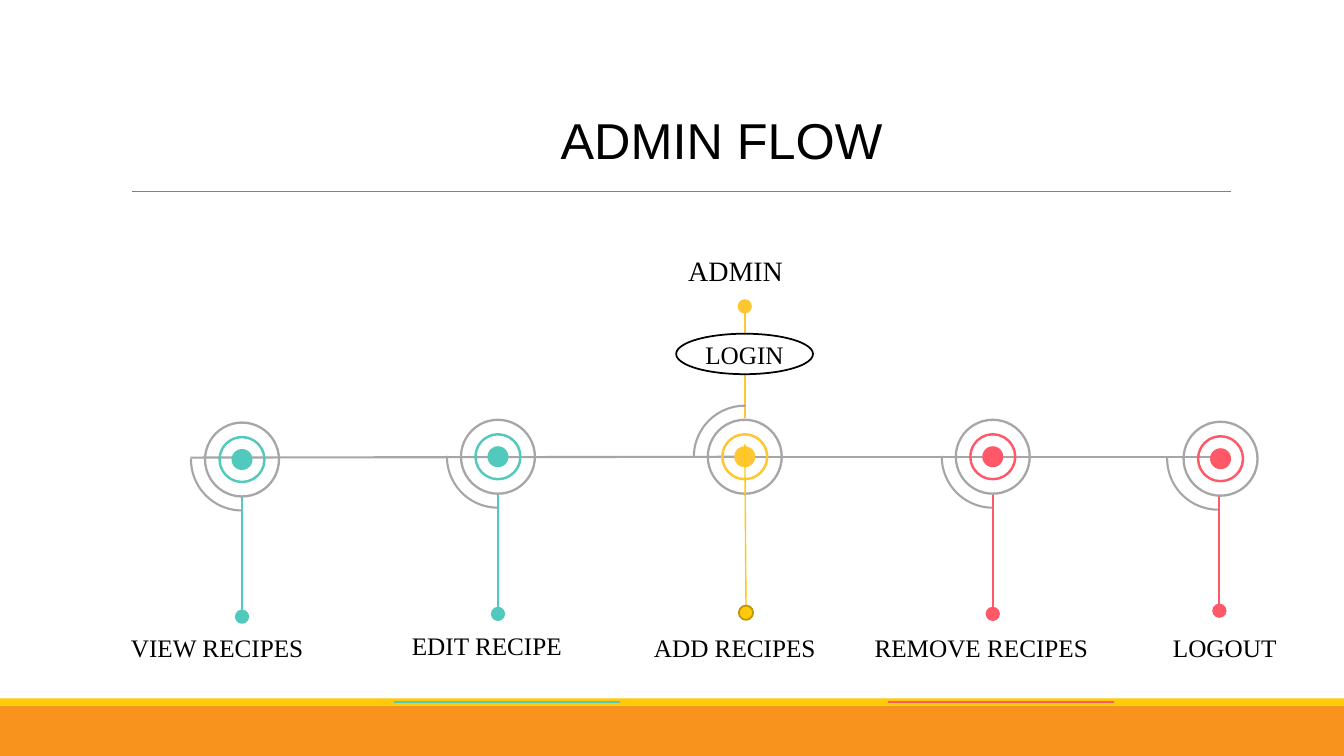
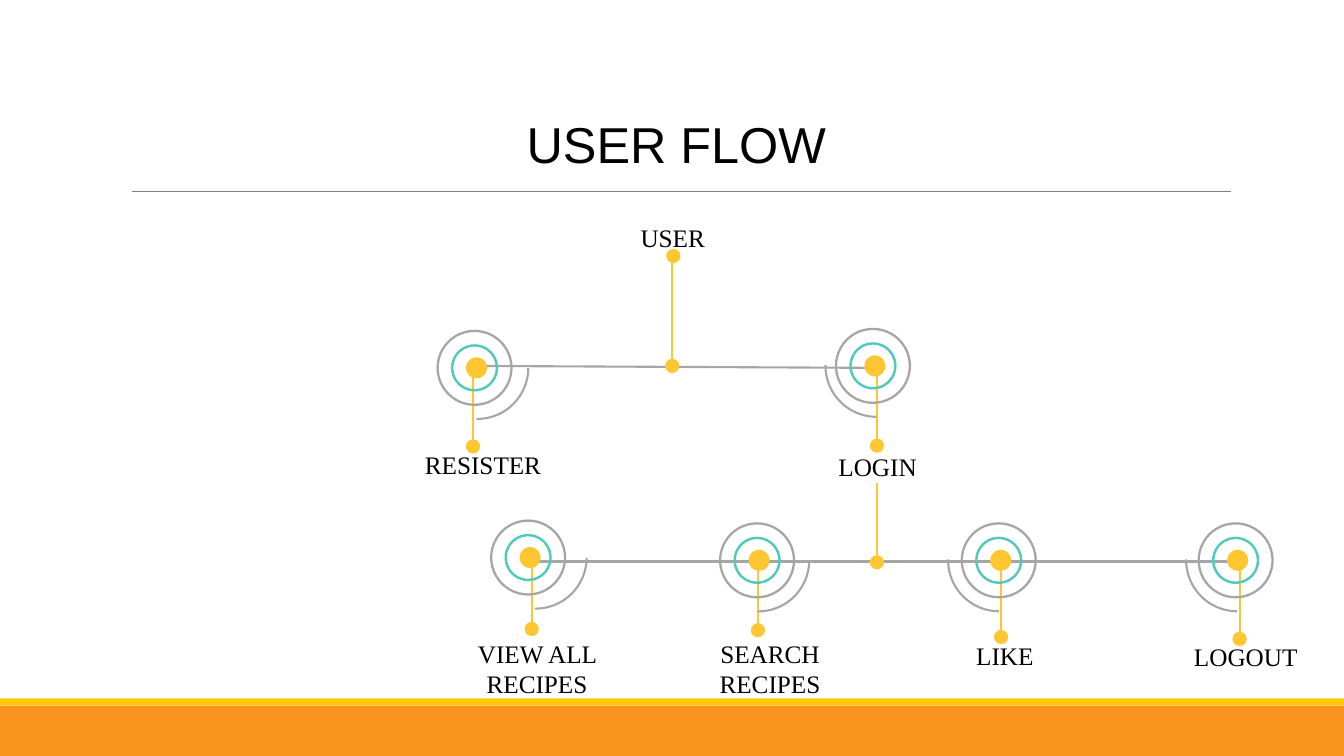
import dataclasses

import pptx
import pptx.dml.color
import pptx.enum.shapes
import pptx.enum.text
import pptx.oxml.ns
import pptx.util
from lxml import etree

Cm = pptx.util.Cm
SHAPE = pptx.enum.shapes.MSO_SHAPE
ALIGN = pptx.enum.text.PP_ALIGN
ANCHOR = pptx.enum.text.MSO_ANCHOR
FIT = pptx.enum.text.MSO_AUTO_SIZE


@dataclasses.dataclass(frozen=True)
class Theme:
    ink: str = "000000"
    paper: str = "FFFFFF"
    rule: str = "808080"
    grey: str = "A6A6A6"
    teal: str = "52C9BD"
    amber: str = "FEC630"
    red: str = "FF5969"
    orange: str = "F8931D"
    gold: str = "FFCA08"
    dark_gold: str = "BD9506"
    title_font: str = "Arial"
    label_font: str = "Times New Roman"
    title_size: int = 36
    heading_size: int = 20
    label_size: int = 18


@dataclasses.dataclass(frozen=True)
class Stop:
    """One step of a flow, lengths in centimetres."""
    label: str
    x: float
    y: float
    arc_x: float
    stem_x: float
    end_y: float
    label_at: tuple  # left, top, width
    turn: int = 0
    align: ALIGN = ALIGN.LEFT


def rgb(colour):
    return pptx.dml.color.RGBColor.from_string(colour)


def write_text(frame, text, *, size, font, colour, align=ALIGN.LEFT):
    paragraph = frame.paragraphs[0]
    paragraph.alignment = align
    run = paragraph.add_run()
    run.text = text
    run.font.size = pptx.util.Pt(size)
    run.font.name = font
    run.font.color.rgb = rgb(colour)


class FlowDeck:
    OUTER, RING, CORE, ARC, DOT = 1.92, 1.19, 0.53, 2.57, 0.36

    def __init__(self, theme):
        self.theme = theme
        self.prs = pptx.Presentation()
        self.prs.slide_width, self.prs.slide_height = Cm(33.87), Cm(19.05)
        self.layout = self.prs.slide_layouts[5]
        self.slide = None

    # Slide frame
    def new_slide(self, title, left, top):
        first = self.slide is None
        self.slide = self.prs.slides.add_slide(self.layout)
        if first:
            self.dress_layout()
        heading = self.slide.shapes.title
        heading.left, heading.top = Cm(left), Cm(top)
        heading.width, heading.height = Cm(17.63), Cm(1.8)
        heading.text_frame.vertical_anchor = ANCHOR.TOP
        heading.text_frame.auto_size = FIT.NONE
        write_text(heading.text_frame, title, size=self.theme.title_size,
                   font=self.theme.title_font, colour=self.theme.ink,
                   align=ALIGN.CENTER)

    def dress_layout(self):
        """Draw the shared rule and bands, then move them to the layout."""
        shared = (
            self.line((3.33, 4.83), (31.01, 4.83), self.theme.rule, 0.5),
            self.shape(SHAPE.RECTANGLE, 0, 17.78, 33.87, 1.27, self.theme.orange),
            self.shape(SHAPE.RECTANGLE, 0, 17.6, 33.87, 0.18, self.theme.gold),
        )
        for number, part in enumerate(shared, start=101):
            part.element.xpath(".//p:cNvPr")[0].set("id", str(number))
            self.layout.shapes.element.append(part.element)

    # Basic elements
    def shape(self, kind, left, top, width, height, fill=None, outline=None,
              weight=1.25):
        item = self.slide.shapes.add_shape(kind, Cm(left), Cm(top),
                                           Cm(width), Cm(height))
        item.shadow.inherit = False
        if fill:
            item.fill.solid()
            item.fill.fore_color.rgb = rgb(fill)
        else:
            item.fill.background()
        if outline:
            item.line.color.rgb = rgb(outline)
            item.line.width = pptx.util.Pt(weight)
        else:
            item.line.fill.background()
        return item

    def round(self, kind, x, y, size, fill=None, **style):
        return self.shape(kind, x - size / 2, y - size / 2, size, size, fill, **style)

    def line(self, start, end, colour, weight=1.5):
        item = self.slide.shapes.add_connector(
            pptx.enum.shapes.MSO_CONNECTOR.STRAIGHT,
            *(Cm(value) for value in (*start, *end)))
        item.line.color.rgb = rgb(colour)
        item.line.width = pptx.util.Pt(weight)
        properties = item.element.find(pptx.oxml.ns.qn("p:spPr"))
        etree.SubElement(properties, pptx.oxml.ns.qn("a:effectLst"))
        return item

    def dot(self, x, y, colour, **style):
        self.round(SHAPE.OVAL, x, y, self.DOT, colour, **style)

    def label(self, text, left, top, width, align=ALIGN.LEFT, size=None):
        box = self.slide.shapes.add_textbox(Cm(left), Cm(top), Cm(width), Cm(1.02))
        box.text_frame.word_wrap = True
        box.text_frame.auto_size = FIT.SHAPE_TO_FIT_TEXT
        write_text(box.text_frame, text, size=size or self.theme.label_size,
                   font=self.theme.label_font, colour=self.theme.ink, align=align)

    # Flow elements
    def node(self, stop, ring, core, core_shift=0):
        arc = self.round(SHAPE.ARC, stop.arc_x, stop.y, self.ARC,
                         outline=self.theme.grey, weight=1.5)
        arc.adjustments[0], arc.adjustments[1] = 54.2, 108.53
        arc.rotation = stop.turn
        self.round(SHAPE.OVAL, stop.x + core_shift, stop.y, self.CORE, core)
        for size, band, colour in ((self.RING, 0.05, ring),
                                   (self.OUTER, 0.03, self.theme.grey)):
            self.round(SHAPE.DONUT, stop.x, stop.y, size, colour).adjustments[0] = band

    def branch(self, stop, ring, core, stem_gap=0, core_shift=0):
        """A node with its stem, end dot and label."""
        self.line((stop.stem_x, stop.y + stem_gap), (stop.stem_x, stop.end_y), core)
        self.node(stop, ring, core, core_shift)
        self.dot(stop.stem_x, stop.end_y, core)
        self.label(stop.label, *stop.label_at, align=stop.align)


def admin_flow(deck):
    theme = deck.theme
    deck.new_slide("ADMIN FLOW", 9.37, 2.62)

    # Main line
    deck.line((18.95, 11.51), (30.53, 11.51), theme.grey)
    deck.line((4.8, 11.53), (18.52, 11.51), theme.grey)

    # Login above the line
    deck.line((18.77, 10.54), (18.77, 7.72), theme.amber)
    deck.dot(18.77, 7.72, theme.amber)
    deck.label("ADMIN", 17.09, 6.27, 4.83, size=theme.heading_size)
    login = deck.shape(SHAPE.OVAL, 17.04, 8.41, 3.45, 1.02, theme.paper, theme.ink)
    login.text_frame.word_wrap = False
    login.text_frame.vertical_anchor = ANCHOR.MIDDLE
    write_text(login.text_frame, "LOGIN", size=theme.label_size,
               font=theme.label_font, colour=theme.ink, align=ALIGN.CENTER)

    # Actions
    actions = (
        (Stop("VIEW RECIPES", 6.1, 11.58, 6.1, 6.1, 15.54,
              (3.05, 15.82, 5.03)), theme.teal),
        (Stop("EDIT RECIPE", 12.55, 11.51, 12.55, 12.55, 15.47,
              (10.13, 15.77, 4.32)), theme.teal),
        (Stop("REMOVE RECIPES", 25.02, 11.51, 25.02, 25.02, 15.47,
              (21.79, 15.8, 6.38)), theme.red),
        (Stop("LOGOUT", 30.76, 11.56, 30.7, 30.73, 15.39,
              (29.31, 15.8, 3.61)), theme.red),
    )
    for stop, colour in actions:
        deck.branch(stop, colour, colour, stem_gap=0.93)

    # Central action, its stem crossing the core
    add = Stop("ADD RECIPES", 18.77, 11.51, 18.77, 18.8, 15.44,
               (16.23, 15.82, 4.83), turn=90)
    deck.node(add, theme.amber, theme.amber)
    deck.line((add.x, 11.2), (add.stem_x, 15.27), theme.gold, 1)
    deck.dot(add.stem_x, add.end_y, theme.gold, outline=theme.dark_gold)
    deck.label(add.label, *add.label_at)

    # Accents on the footer band
    for left, colour in ((9.93, theme.teal), (22.38, theme.red)):
        deck.line((left, 17.68), (left + 5.69, 17.68), colour)


def user_flow(deck):
    theme = deck.theme
    deck.new_slide("USER FLOW", 8.23, 2.72)

    # Entry and main lines
    deck.label("USER", 14.15, 5.49, 5.61, align=ALIGN.CENTER)
    deck.line((11.86, 9.22), (22.12, 9.27), theme.grey)
    deck.line((13.41, 14.15), (31.29, 14.15), theme.grey)
    for x, top, bottom in ((16.94, 6.45, 9.22), (22.1, 12.17, 14.17)):
        deck.line((x, bottom), (x, top), theme.amber)
        deck.dot(x, bottom, theme.amber)
    deck.dot(16.97, 6.45, theme.amber)

    # Access, then actions after login
    centre = ALIGN.CENTER
    stops = (
        Stop("RESISTER", 11.96, 9.27, 12.03, 11.92, 11.25, (10.46, 11.2, 4.47), 270),
        Stop("LOGIN", 22, 9.22, 22.09, 22.1, 11.23, (20.88, 11.25, 3.86)),
        Stop("VIEW ALL RECIPES", 13.31, 14.05, 13.5, 13.4, 15.85,
             (11.63, 15.95, 3.81), 270, centre),
        Stop("SEARCH RECIPES", 19.08, 14.12, 19.11, 19.1, 15.88,
             (17.5, 15.95, 3.81), 270, centre),
        Stop("LIKE", 25.17, 14.12, 25.18, 25.23, 16.05,
             (23.93, 16, 2.79), 0, centre),
        Stop("LOGOUT", 31.14, 14.12, 31.18, 31.24, 16.1,
             (29.49, 16.03, 3.81), 0, centre),
    )
    for stop in stops:
        deck.branch(stop, theme.teal, theme.amber, core_shift=0.05)


def main():
    deck = FlowDeck(Theme())
    admin_flow(deck)
    user_flow(deck)
    deck.prs.save("out.pptx")


if __name__ == "__main__":
    main()
